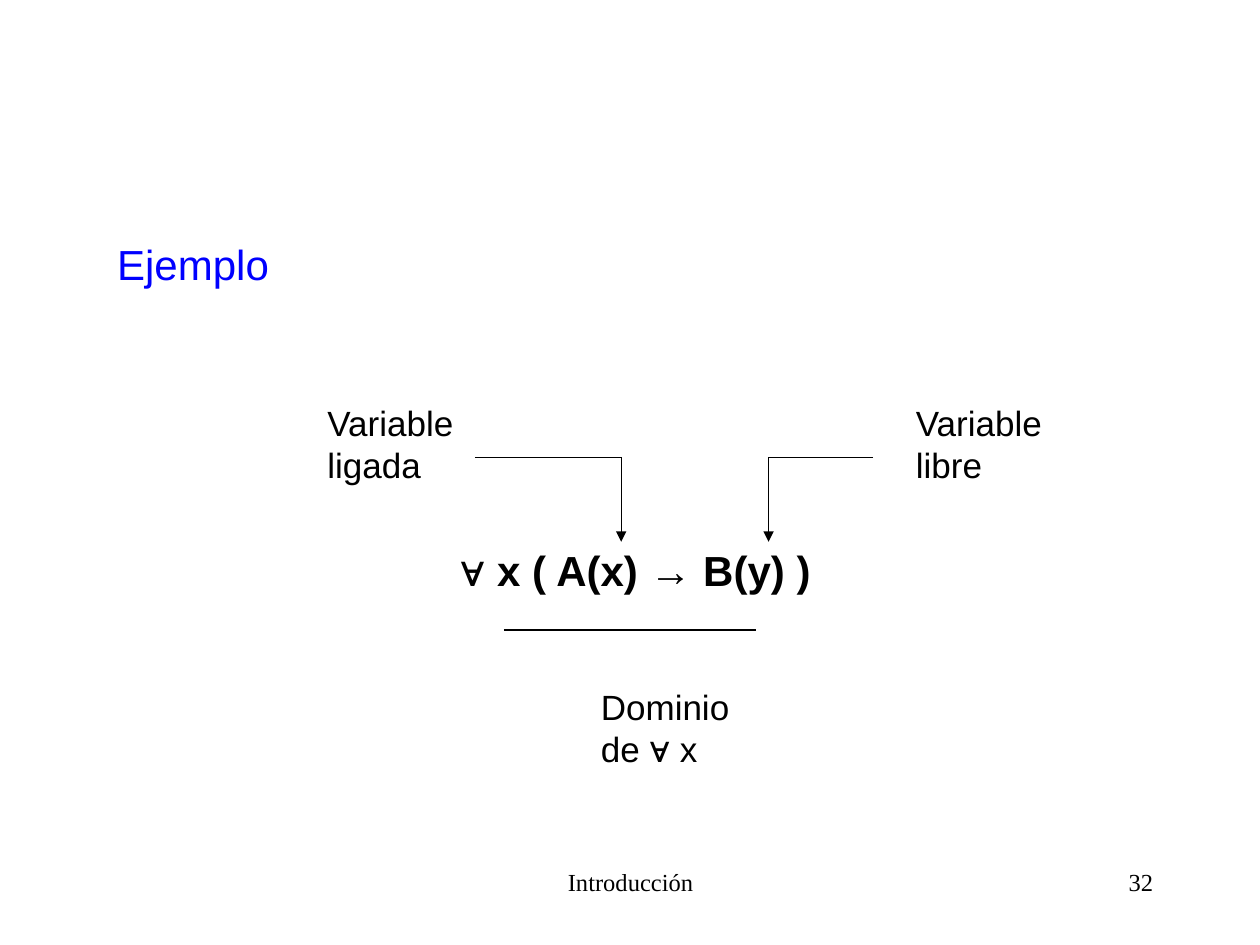
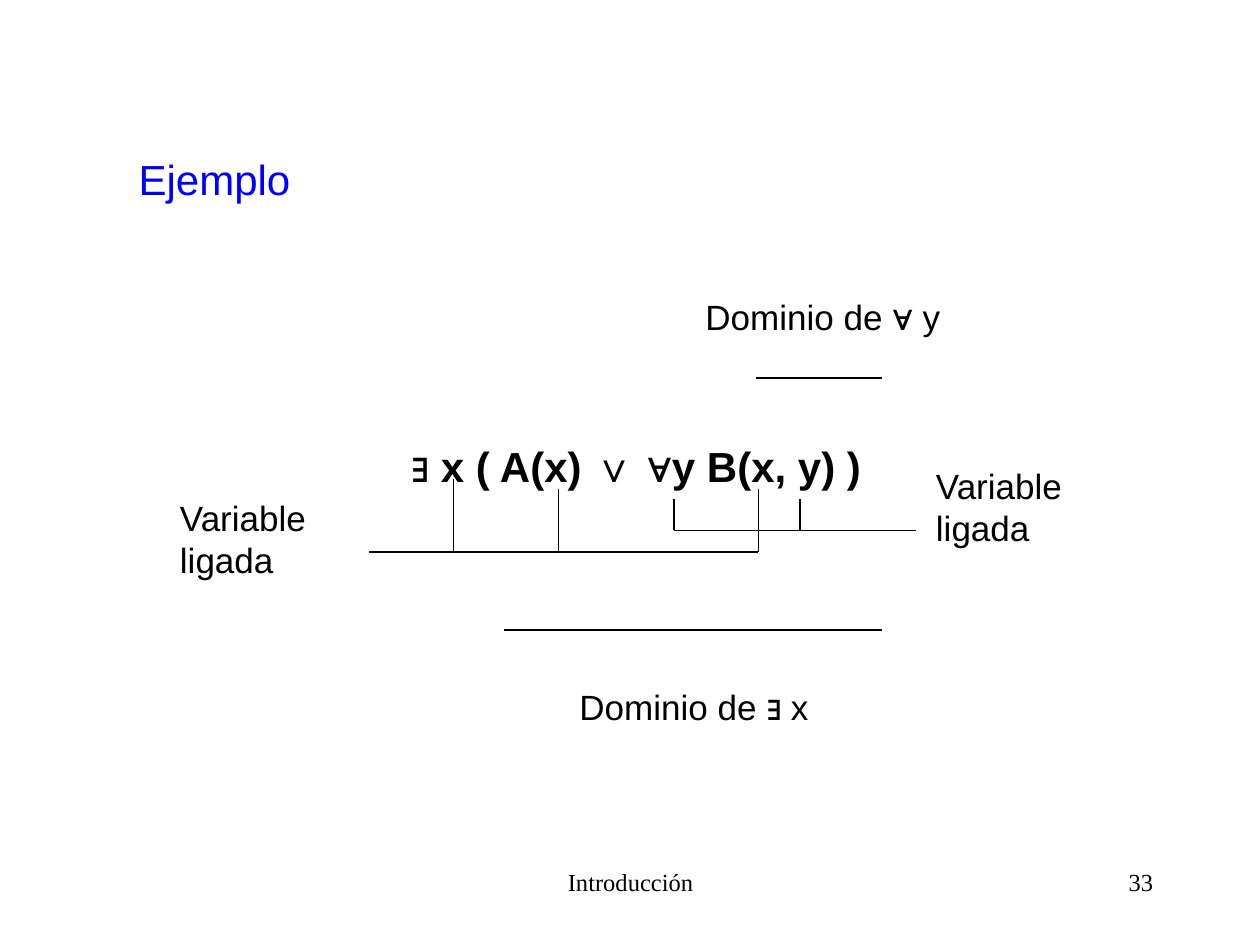
from itertools import pairwise

from pptx import Presentation
from pptx.dml.color import RGBColor
from pptx.enum.shapes import MSO_CONNECTOR
from pptx.enum.text import MSO_ANCHOR, MSO_AUTO_SIZE, PP_ALIGN
from pptx.oxml.ns import qn
from pptx.util import Inches, Pt

BLACK, BLUE = "000000", "0000FF"
BODY_FONT, FOOTER_FONT = "Arial", "Times New Roman"
LINE_WIDTH = Pt(0.75)
TITLE_ONLY = 5
CURVE_STEPS = 16


def rgb(color):
    return RGBColor.from_string(color)


def write(tf, text, size=20, color=BLACK, font=BODY_FONT, bold=False,
          align=PP_ALIGN.LEFT, wrap=False):
    tf.word_wrap = wrap
    tf.auto_size = MSO_AUTO_SIZE.NONE
    tf.vertical_anchor = MSO_ANCHOR.TOP
    for i, line in enumerate(text.split("\n")):
        p = tf.paragraphs[0] if i == 0 else tf.add_paragraph()
        p.alignment = align
        r = p.add_run()
        r.text = line
        r.font.size, r.font.name, r.font.bold = Pt(size), font, bold
        r.font.color.rgb = rgb(color)


def add_text(slide, text, left, top, width, height, **fmt):
    box = slide.shapes.add_textbox(*map(Inches, (left, top, width, height)))
    write(box.text_frame, text, **fmt)


def add_label(slide, text, left, top, width):
    height = 0.43 if "\n" not in text else 0.77
    add_text(slide, text, left, top, width, height)


def add_formula(slide, text, left, top, width):
    add_text(slide, text, left, top, width, 0.5, size=24, bold=True,
             align=PP_ALIGN.CENTER, wrap=True)


def add_path(slide, *points, arrow=False):
    """Join the points with straight lines, with an arrowhead on the last if asked."""
    for start, end in pairwise(points):
        line = slide.shapes.add_connector(MSO_CONNECTOR.STRAIGHT,
                                          *map(Inches, start + end))
        line.line.color.rgb = rgb(BLACK)
        line.line.width = LINE_WIDTH
        sp_pr = line._element.spPr
        sp_pr.append(sp_pr.makeelement(qn("a:effectLst"), {}))
    if arrow:
        ln = line.line._get_or_add_ln()
        ln.append(ln.makeelement(qn("a:tailEnd"), {"type": "triangle"}))


def bezier(p0, p1, p2, p3, t):
    u = 1 - t
    return tuple(u**3 * a + 3 * u * u * t * b + 3 * u * t * t * c + t**3 * d
                 for a, b, c, d in zip(p0, p1, p2, p3))


def add_scope_curve(slide, *points):
    """Draw cubic curves: a start point, then two controls and an end for each."""
    curve = [bezier(*points[i:i + 4], step / CURVE_STEPS)
             for i in range(0, len(points) - 1, 3)
             for step in range(1, CURVE_STEPS + 1)]
    builder = slide.shapes.build_freeform(*points[0], scale=Inches(1))
    builder.add_line_segments(curve, close=False)
    sp = builder.convert_to_shape()
    sp.shadow.inherit = False
    sp.fill.background()
    sp.line.color.rgb = rgb(BLACK)
    sp.line.width = LINE_WIDTH


def add_slide(prs, number, title_left, title_top):
    slide = prs.slides.add_slide(prs.slide_layouts[TITLE_ONLY])
    title = slide.shapes.title
    title.left, title.top = Inches(title_left), Inches(title_top)
    title.width, title.height = Inches(1.41), Inches(0.5)
    write(title.text_frame, "Ejemplo", size=24, color=BLUE)
    footer = dict(size=14, font=FOOTER_FONT, wrap=True)
    add_text(slide, "Introducción", 3.42, 6.83, 3.17, 0.5,
             align=PP_ALIGN.CENTER, **footer)
    add_text(slide, str(number), 7.17, 6.83, 2.08, 0.5,
             align=PP_ALIGN.RIGHT, **footer)
    return slide


def add_bound_and_free(prs):
    slide = add_slide(prs, 32, 0.83, 1.84)
    add_formula(slide, "∀ x ( A(x) → B(y) )", 1.08, 4.27, 7.93)
    for text, label_left, line_x, variable_x in (
            ("Variable\nligada", 2.5, 3.77, 4.93),
            ("Variable\nlibre", 7.17, 6.93, 6.1)):
        add_label(slide, text, label_left, 3.14, 1.22)
        add_path(slide, (line_x, 3.63), (variable_x, 3.63), (variable_x, 4.3),
                 arrow=True)
    add_scope_curve(slide, (4.35, 4.8), (4.6, 5.05), (4.85, 5.3), (5.18, 5.3),
                    (5.52, 5.3), (5.93, 5.05), (6.35, 4.8))
    add_label(slide, "Dominio\nde ∀ x", 4.67, 5.39, 1.3)


def add_nested_scopes(prs):
    slide = add_slide(prs, 33, 1, 1.17)
    add_formula(slide, "∃ x ( A(x) ∨ ∀y B(x, y) )", 1.25, 3.45, 7.6)

    x_line, y_line = 4.38, 4.21
    add_path(slide, (2.93, x_line), (6.02, x_line))
    for x, top in ((3.6, 3.8), (4.43, 3.88), (6.02, 3.88)):
        add_path(slide, (x, top), (x, x_line))
    add_path(slide, (5.35, y_line), (7.27, y_line))
    for x in (5.35, 6.35):
        add_path(slide, (x, 3.96), (x, y_line))
    add_label(slide, "Variable\nligada", 1.33, 3.89, 1.22)
    add_label(slide, "Variable\nligada", 7.33, 3.64, 1.22)

    add_scope_curve(slide, (3.93, 4.71), (4.36, 5.01), (4.8, 5.31), (5.27, 5.3),
                    (5.74, 5.28), (6.25, 4.95), (6.77, 4.63))
    add_label(slide, "Dominio de ∃ x", 4.5, 5.39, 2.05)
    add_scope_curve(slide, (5.52, 3.46), (5.71, 3.25), (5.91, 3.05), (6.1, 3.05),
                    (6.3, 3.05), (6.59, 3.39), (6.68, 3.46))
    add_label(slide, "Dominio de ∀ y", 5.5, 2.3, 2.1)


def main():
    prs = Presentation()
    prs.slide_width, prs.slide_height = Inches(10), Inches(7.5)
    add_bound_and_free(prs)
    add_nested_scopes(prs)
    prs.save("out.pptx")


if __name__ == "__main__":
    main()
